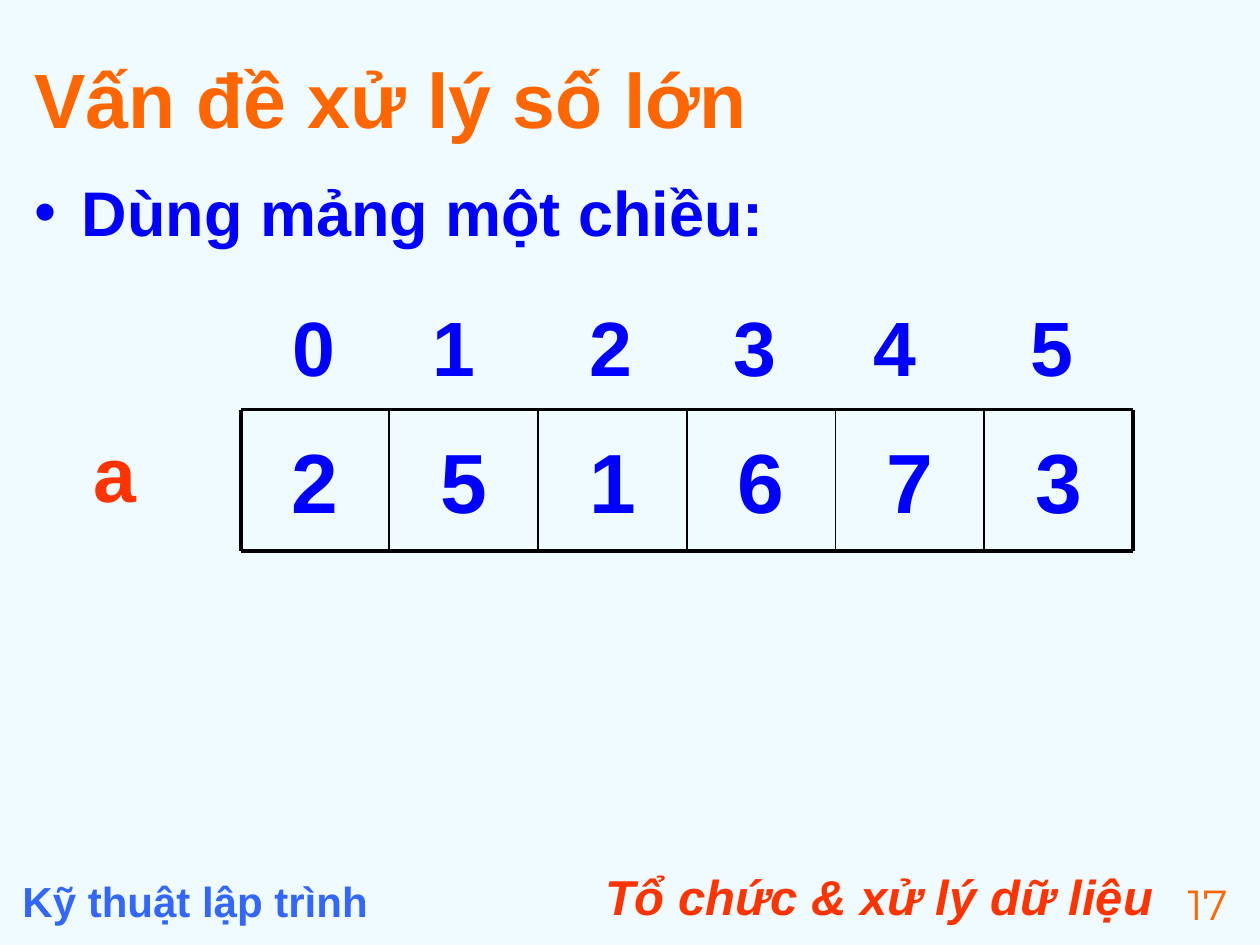
from lxml import etree
from pptx import Presentation
from pptx.dml.color import RGBColor
from pptx.enum.shapes import MSO_CONNECTOR
from pptx.enum.text import MSO_ANCHOR, MSO_AUTO_SIZE, PP_ALIGN
from pptx.oxml.ns import qn
from pptx.util import Inches, Pt

LINE = MSO_CONNECTOR.STRAIGHT
TOP, MID = MSO_ANCHOR.TOP, MSO_ANCHOR.MIDDLE
FIXED, GROW = MSO_AUTO_SIZE.NONE, MSO_AUTO_SIZE.SHAPE_TO_FIT_TEXT
LEFT, MIDDLE, RIGHT = PP_ALIGN.LEFT, PP_ALIGN.CENTER, PP_ALIGN.RIGHT

PALE = RGBColor(0xEF, 0xFB, 0xFF)
ORANGE = RGBColor(0xFF, 0x66, 0x00)
RED = RGBColor(0xFF, 0x33, 0x00)
BLUE = RGBColor(0x00, 0x00, 0xFF)
SKY = RGBColor(0x33, 0x66, 0xFF)
BLACK = RGBColor(0, 0, 0)

# Content
TITLE = "Vấn đề xử lý số lớn"
POINT = "Dùng mảng một chiều:"
NAME = "a"
DIGITS = [2, 5, 1, 6, 7, 3]
INDEX_X = [2.22, 3.33, 4.58, 5.72, 6.83, 8.08]

# Text formats
HEAD = dict(size=Pt(44), name="Arial", bold=True)
BODY = dict(size=Pt(36), name="Arial", bold=True)
CELL = dict(size=Pt(48), name="Arial", bold=True)
TOPIC = dict(size=Pt(28), name="Arial", bold=True, italic=True)
COURSE = dict(size=Pt(24), name="Arial", bold=True)
NUMBER = dict(size=Pt(24), name="Montserrat")

FOOTER = [
    ("Tổ chức & xử lý dữ liệu", (4.42, 6.83, 4.83, 0.52), TOPIC, RED, RIGHT),
    ("Kỹ thuật lập trình", (0.08, 6.9, 4.75, 0.44), COURSE, SKY, LEFT),
    ("17", (9.25, 6.92, 0.67, 0.44), NUMBER, ORANGE, MIDDLE),
]

# Array grid
GRID_X, GRID_Y, CELL_W, CELL_H = 1.91, 3.25, 1.18, 1.12
LABEL_W, LABEL_H = 0.54, 0.84


def write(shape, text, at, style, color, align, anchor=TOP, size=FIXED):
    """Place a text shape and format its single paragraph."""
    for side, value in zip(("left", "top", "width", "height"), at):
        setattr(shape, side, Inches(value))
    frame = shape.text_frame
    frame.word_wrap = size == FIXED
    frame.auto_size = size
    frame.vertical_anchor = anchor
    para = frame.paragraphs[0]
    para.alignment = align
    para.space_before = Pt(0)
    run = para.add_run()
    run.text = text
    for key, value in style.items():
        setattr(run.font, key, value)
    run.font.color.rgb = color
    return para


def box(slide, text, at, *look):
    shape = slide.shapes.add_textbox(0, 0, 0, 0)
    return write(shape, str(text), at, *look)


def bullet(para, color):
    props = para._p.get_or_add_pPr()
    props.set("marL", str(Inches(0.38)))
    props.set("indent", str(Inches(-0.38)))
    tint = etree.SubElement(props, qn("a:buClr"))
    etree.SubElement(tint, qn("a:srgbClr"), val=str(color))
    etree.SubElement(props, qn("a:buChar"), char="•")


def rule(slide, x1, y1, x2, y2, width):
    line = slide.shapes.add_connector(LINE, *map(Inches, (x1, y1, x2, y2)))
    line.line.color.rgb = BLACK
    line.line.width = Pt(width)
    etree.SubElement(line._element.spPr, qn("a:effectLst"))


def main():
    deck = Presentation()
    deck.slide_width, deck.slide_height = Inches(10), Inches(7.5)
    slide = deck.slides.add_slide(deck.slide_layouts[1])
    back = slide.background.fill
    back.solid()
    back.fore_color.rgb = PALE

    # Footer
    for item in FOOTER:
        box(slide, *item)

    # Title and list
    title, body = slide.placeholders
    write(title, TITLE, (0.17, 0.3, 9.74, 0.95), HEAD, ORANGE, LEFT, MID)
    para = write(body, POINT, (0.17, 1.33, 9.71, 5.42), BODY, BLUE, LEFT)
    bullet(para, BLUE)

    # Array cells
    for i, digit in enumerate(DIGITS):
        at = (GRID_X + i * CELL_W, GRID_Y, CELL_W, CELL_H)
        box(slide, digit, at, CELL, BLUE, MIDDLE, MID)

    # Grid lines: thick frame, thin dividers
    count = len(DIGITS)
    right, low = GRID_X + count * CELL_W, GRID_Y + CELL_H
    for y in (GRID_Y, low):
        rule(slide, GRID_X, y, right, y, 2.25)
    for i in range(count + 1):
        x = GRID_X + i * CELL_W
        rule(slide, x, GRID_Y, x, low, 2.25 if i in (0, count) else 1)

    # Array name and indices
    labels = [(NAME, 0.64, 3.33, RED)]
    labels += [(i, x, 2.33, BLUE) for i, x in enumerate(INDEX_X)]
    for text, x, y, color in labels:
        at = (x, y, LABEL_W, LABEL_H)
        box(slide, text, at, HEAD, color, MIDDLE, TOP, GROW)

    deck.save("out.pptx")


if __name__ == "__main__":
    main()
